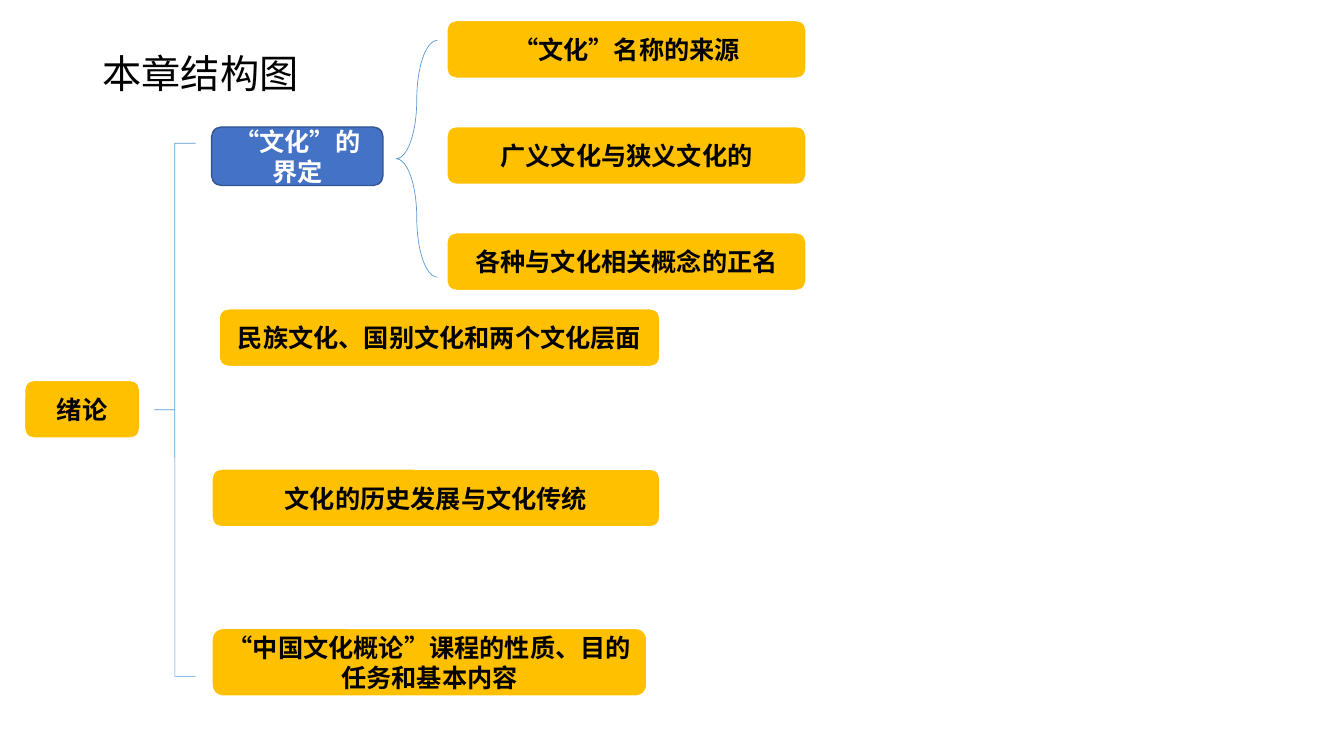
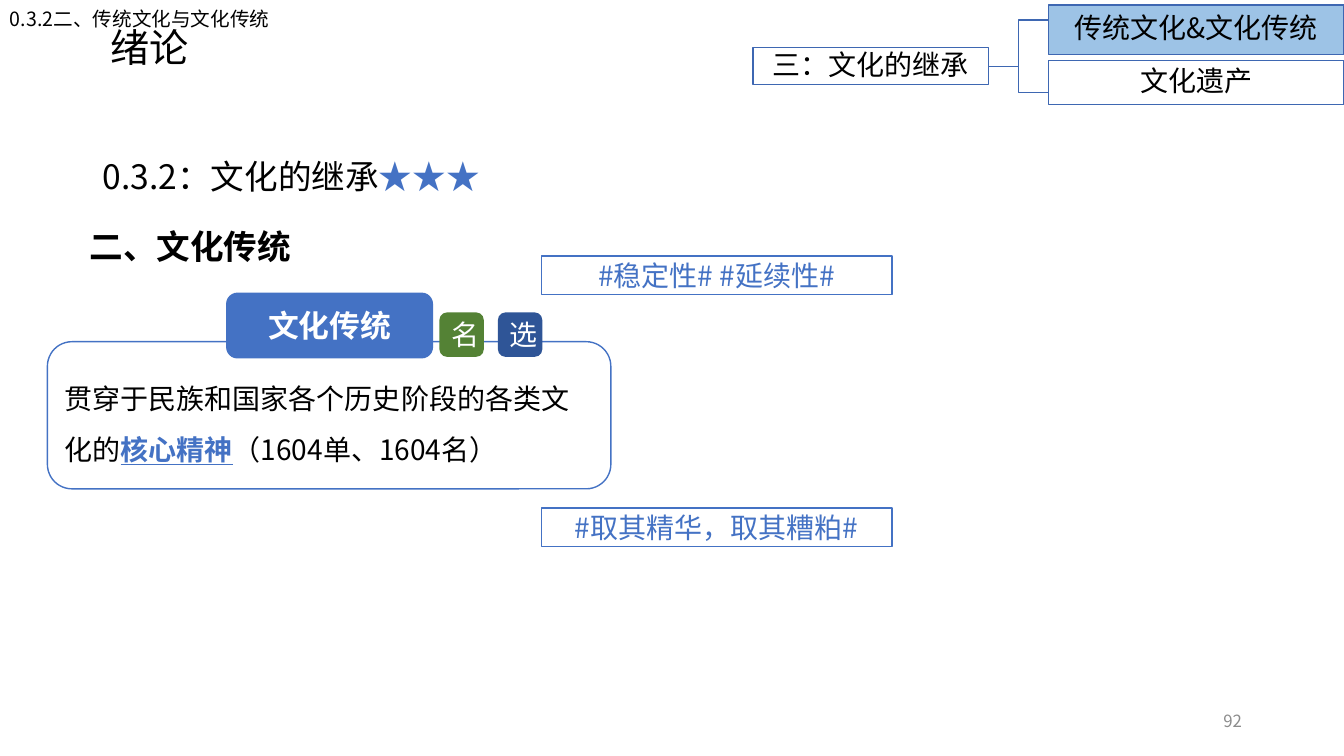
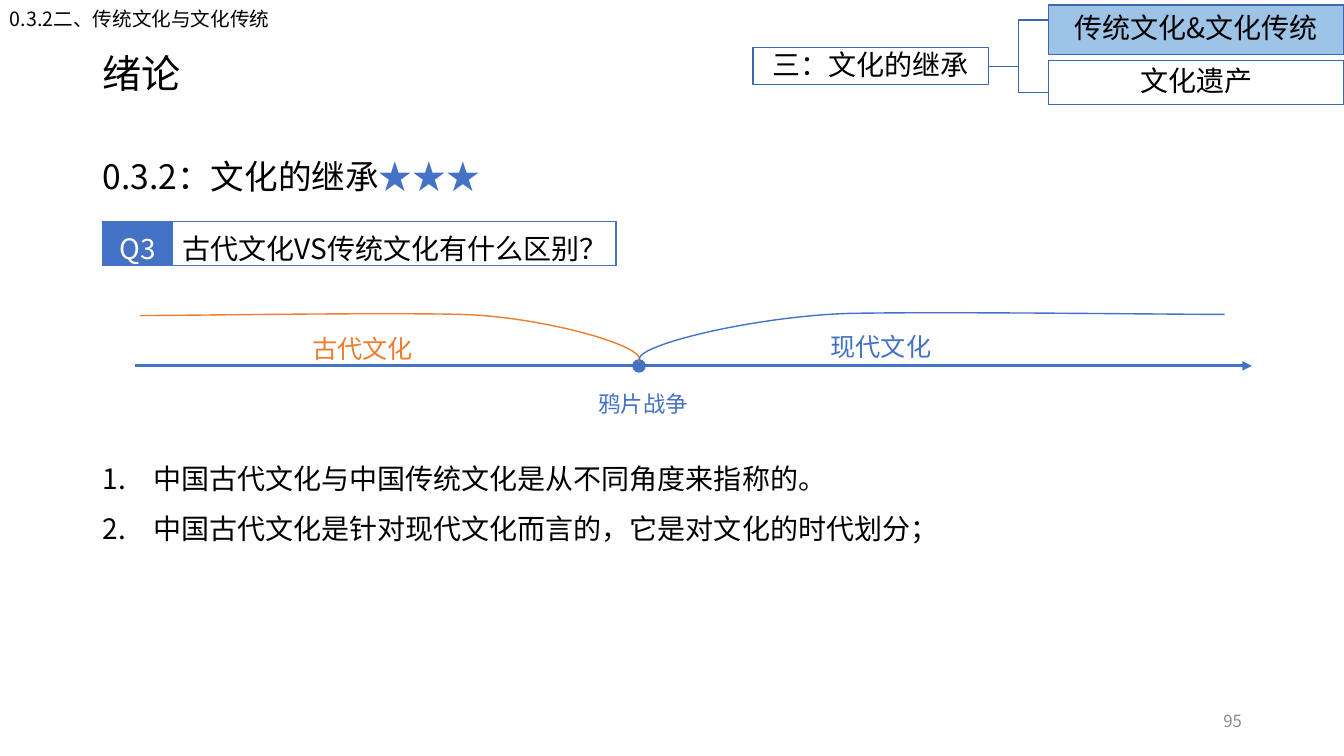
from lxml import etree
from pptx import Presentation
from pptx.dml.color import RGBColor
from pptx.enum.shapes import MSO_CONNECTOR, MSO_SHAPE
from pptx.enum.text import MSO_ANCHOR, PP_ALIGN
from pptx.oxml.ns import qn
from pptx.util import Pt

BLACK = RGBColor(0x00, 0x00, 0x00)
WHITE = RGBColor(0xFF, 0xFF, 0xFF)
GREY = RGBColor(0x8C, 0x8C, 0x8C)
GOLD = RGBColor(0xFF, 0xC0, 0x00)
ORANGE = RGBColor(0xED, 0x7D, 0x31)
GREEN = RGBColor(0x54, 0x82, 0x35)
BLUE = RGBColor(0x44, 0x72, 0xC4)
BLUE_EDGE = RGBColor(0x32, 0x54, 0x91)
NAVY = RGBColor(0x2F, 0x55, 0x97)
SKY = RGBColor(0x5B, 0x9B, 0xD5)
PALE_BLUE = RGBColor(0x9D, 0xC3, 0xE6)
MAP_BLUE = RGBColor(0x3E, 0x67, 0xB2)

FONT = "Noto Sans CJK SC"
TABLE_FONT = "Noto Sans CJK JP"

RECT = MSO_SHAPE.RECTANGLE
ROUNDED = MSO_SHAPE.ROUNDED_RECTANGLE
BRACE = MSO_SHAPE.LEFT_BRACE
OVAL = MSO_SHAPE.OVAL
STRAIGHT = MSO_CONNECTOR.STRAIGHT
ELBOW = MSO_CONNECTOR.ELBOW
TOP = MSO_ANCHOR.TOP
MIDDLE = MSO_ANCHOR.MIDDLE
LEFT = PP_ALIGN.LEFT
CENTER = PP_ALIGN.CENTER
RIGHT = PP_ALIGN.RIGHT


def points(*lengths):
    return [Pt(length) for length in lengths]


def style(paragraph, size, color=BLACK, bold=False, align=LEFT, spacing=1.0, name=FONT):
    paragraph.alignment = align
    paragraph.line_spacing = spacing
    font = paragraph.font
    font.size = Pt(size)
    font.bold = bold
    font.color.rgb = color
    font.name = name
    defaults = paragraph._p.pPr.find(qn("a:defRPr"))
    etree.SubElement(defaults, qn("a:ea"), typeface=name)


def add_accent(paragraph, text, **emphasis):
    run = paragraph.add_run()
    run.text = text
    run.font.color.rgb = BLUE
    for attribute, value in emphasis.items():
        setattr(run.font, attribute, value)


def add_text(slide, box, text, size, anchor=TOP, **look):
    frame = slide.shapes.add_textbox(*points(*box)).text_frame
    frame.word_wrap = True
    frame.vertical_anchor = anchor
    paragraph = frame.paragraphs[0]
    paragraph.text = text
    style(paragraph, size, **look)
    return paragraph


def paint(shape, fill=None, line=None, width=1):
    shape.shadow.inherit = False
    if fill is None:
        shape.fill.background()
    else:
        shape.fill.solid()
        shape.fill.fore_color.rgb = fill
    if line is None:
        shape.line.fill.background()
    else:
        shape.line.color.rgb = line
        shape.line.width = Pt(width)


def add_box(slide, kind, box, text="", size=20, fill=None, line=None, width=1,
            inset=None, align=CENTER, **look):
    shape = slide.shapes.add_shape(kind, *points(*box))
    paint(shape, fill, line, width)
    frame = shape.text_frame
    frame.vertical_anchor = MIDDLE
    if inset is not None:
        frame.margin_left = frame.margin_right = Pt(inset)
        frame.margin_top = frame.margin_bottom = Pt(inset)
    paragraph = frame.paragraphs[0]
    if text:
        paragraph.text = text
        style(paragraph, size, align=align, **look)
    return paragraph


def add_topic(slide, box, text, fill=GOLD, line=WHITE, width=1.5, color=BLACK):
    add_box(slide, ROUNDED, box, text, 18, fill, line, width, color=color, bold=True)


def add_brace(slide, box, curl):
    brace = slide.shapes.add_shape(BRACE, *points(*box))
    brace.adjustments[0] = curl
    paint(brace, line=SKY, width=0.5)


def add_line(slide, kind, start, end, color, width):
    connector = slide.shapes.add_connector(kind, *points(*start, *end))
    connector.line.color.rgb = color
    connector.line.width = Pt(width)
    etree.SubElement(connector._element.spPr, qn("a:effectLst"))
    return connector


def bezier(p0, p1, p2, p3, steps=24):
    for step in range(1, steps + 1):
        t = step / steps
        u = 1 - t
        yield tuple(
            Pt(u ** 3 * a + 3 * u * u * t * b + 3 * u * t * t * c + t ** 3 * d)
            for a, b, c, d in zip(p0, p1, p2, p3)
        )


def add_curve(slide, nodes, color):
    builder = slide.shapes.build_freeform(*points(*nodes[0]))
    for first in range(0, len(nodes) - 1, 3):
        builder.add_line_segments(bezier(*nodes[first:first + 4]), close=False)
    paint(builder.convert_to_shape(), line=color)


def add_title(slide, text, left=66.24, top=28.8, width=828):
    add_text(slide, (left, top, width, 51.12), text, 28, MIDDLE, spacing=0.9)


def add_section(slide, page):
    add_text(slide, (0, -7.2, 839.5, 32.4), "0.3.2二、传统文化与文化传统", 14, spacing=1.5)
    heading = add_text(slide, (66.24, 93.24, 828, 64), "0.3.2：文化的继承", 24, spacing=1.5)
    add_accent(heading, "★★★")
    add_text(slide, (678.24, 500.4, 216, 28.8), page, 12, MIDDLE, color=GREY, align=RIGHT)
    for branch_y in (66.24, 14.4):
        add_line(slide, ELBOW, (706.5, 47.5), (748.8, branch_y), MAP_BLUE, 1)
    for box, text, fill in (
        ((537.84, 33.84, 168.5, 26.64), "三：文化的继承", WHITE),
        ((748.8, 3.6, 211.2, 35.28), "传统文化&文化传统", PALE_BLUE),
        ((748.8, 43.2, 211.2, 31.68), "文化遗产", WHITE),
    ):
        add_box(slide, RECT, box, text, fill=fill, line=MAP_BLUE, inset=0.72, spacing=0.9)


def add_question(slide, label, question):
    shape = slide.shapes.add_table(1, 2, *points(73.44, 158.4, 366.5, 29.5))
    table = shape.table
    table.first_row = table.horz_banding = False
    for column, width in zip(table.columns, (49.7, 316.8)):
        column.width = Pt(width)
    for cell, text, fill, color, align in zip(
        table.rows[0].cells, (label, question), (BLUE, None), (WHITE, BLACK), (CENTER, LEFT)
    ):
        cell.vertical_anchor = MIDDLE
        paragraph = cell.text_frame.paragraphs[0]
        paragraph.text = text
        style(paragraph, 20, color, align=align, name=TABLE_FONT)
        properties = cell._tc.get_or_add_tcPr()
        for side in ("a:lnL", "a:lnR", "a:lnT", "a:lnB"):
            border = etree.SubElement(properties, qn(side), w=str(Pt(1)))
            paint_node = etree.SubElement(border, qn("a:solidFill"))
            etree.SubElement(paint_node, qn("a:srgbClr"), val=str(BLUE))
        if fill is None:
            cell.fill.background()
        else:
            cell.fill.solid()
            cell.fill.fore_color.rgb = fill


def add_numbered(slide, box, items):
    frame = slide.shapes.add_textbox(*points(*box)).text_frame
    frame.word_wrap = True
    for index, item in enumerate(items):
        paragraph = frame.add_paragraph() if index else frame.paragraphs[0]
        paragraph.text = item
        properties = paragraph._p.get_or_add_pPr()
        properties.set("marL", str(Pt(36)))
        properties.set("indent", str(Pt(-36)))
        etree.SubElement(properties, qn("a:buAutoNum"), type="arabicPeriod")
        style(paragraph, 20, spacing=1.5)


def build_outline(slide):
    add_title(slide, "本章结构图", width=236.9)
    add_topic(slide, (17.28, 271.44, 82.8, 41.76), "绪论")
    add_brace(slide, (110.16, 102.24, 29.52, 380.88), 0)
    add_topic(slide, (151.2, 90.72, 122.4, 41.76), "“文化”的界定", BLUE, BLUE_EDGE, 1, WHITE)
    for box, text in (
        ((156.24, 220.32, 315.36, 41.76), "民族文化、国别文化和两个文化层面"),
        ((151.2, 334.8, 320.4, 41.76), "文化的历史发展与文化传统"),
        ((151.2, 448.56, 311.04, 48.96), "“中国文化概论”课程的性质、目的任务和基本内容"),
    ):
        add_topic(slide, box, text)
    add_brace(slide, (282.96, 28.8, 29.52, 169.2), 3.25)
    details = ("“文化”名称的来源", "广义文化与狭义文化的", "各种与文化相关概念的正名")
    for row, text in enumerate(details):
        add_topic(slide, (318.96, 14.4 + 75.8 * row, 257.04, 41.76), text)


def build_tradition(slide):
    add_title(slide, "绪论", left=72, top=10.08)
    add_section(slide, "92")
    add_text(slide, (56.88, 143.7, 828, 60), "二、文化传统", 24, bold=True, spacing=1.5)
    definition = add_box(slide, ROUNDED, (33.84, 244.08, 402.48, 105.12),
                         "贯穿于民族和国家各个历史阶段的各类文化的",
                         line=BLUE, align=LEFT, spacing=1.5)
    add_accent(definition, "核心精神", bold=True, underline=True)
    definition.add_run().text = "（1604单、1604名）"
    add_box(slide, ROUNDED, (162, 209.52, 146.88, 46.08), "文化传统", 22, BLUE, BLUE,
            color=WHITE, bold=True)
    for left, text, fill in ((313.92, "名", GREEN), (355.68, "选", NAVY)):
        add_box(slide, ROUNDED, (left, 223.2, 31.68, 31.68), text, fill=fill, color=WHITE)
    for top, text in ((182.88, "#稳定性# #延续性#"), (362.88, "#取其精华，取其糟粕#")):
        add_box(slide, RECT, (386.64, top, 250.56, 27.36), text, line=BLUE, color=BLUE)


def build_comparison(slide):
    add_title(slide, "绪论")
    add_section(slide, "95")
    add_question(slide, "Q3", "古代文化VS传统文化有什么区别？")
    timeline = add_line(slide, STRAIGHT, (96.48, 261.36), (894.24, 261.36), BLUE, 2.25)
    etree.SubElement(timeline.line._get_or_add_ln(), qn("a:tailEnd"), type="triangle")
    add_box(slide, OVAL, (452.16, 257.04, 8.64, 8.64), fill=BLUE, line=BLUE)
    add_curve(slide, ((455.8, 258.5), (466.6, 248.4), (388, 226), (329, 224.6),
                      (269.3, 223.2), (138.2, 225.4), (100, 225.4)), ORANGE)
    add_curve(slide, ((457.9, 258.5), (445, 248.4), (537, 226), (606.2, 223.9),
                      (676, 222.5), (830.2, 224.6), (874.8, 224.6)), BLUE)
    for box, text, size, color in (
        ((420.48, 265.68, 81.36, 33.12), "鸦片战争", 16, BLUE),
        ((216, 223.92, 116.64, 40.32), "古代文化", 18, ORANGE),
        ((586.08, 222.48, 116.64, 36), "现代文化", 18, BLUE),
    ):
        add_text(slide, box, text, size, color=color, spacing=1.5)
    add_numbered(slide, (66.24, 313.92, 696.96, 79.92), (
        "中国古代文化与中国传统文化是从不同角度来指称的。",
        "中国古代文化是针对现代文化而言的，它是对文化的时代划分；",
    ))


def main():
    presentation = Presentation()
    presentation.slide_width, presentation.slide_height = points(960, 540)
    blank = presentation.slide_layouts[6]
    for build in (build_outline, build_tradition, build_comparison):
        build(presentation.slides.add_slide(blank))
    presentation.save("out.pptx")


if __name__ == "__main__":
    main()
